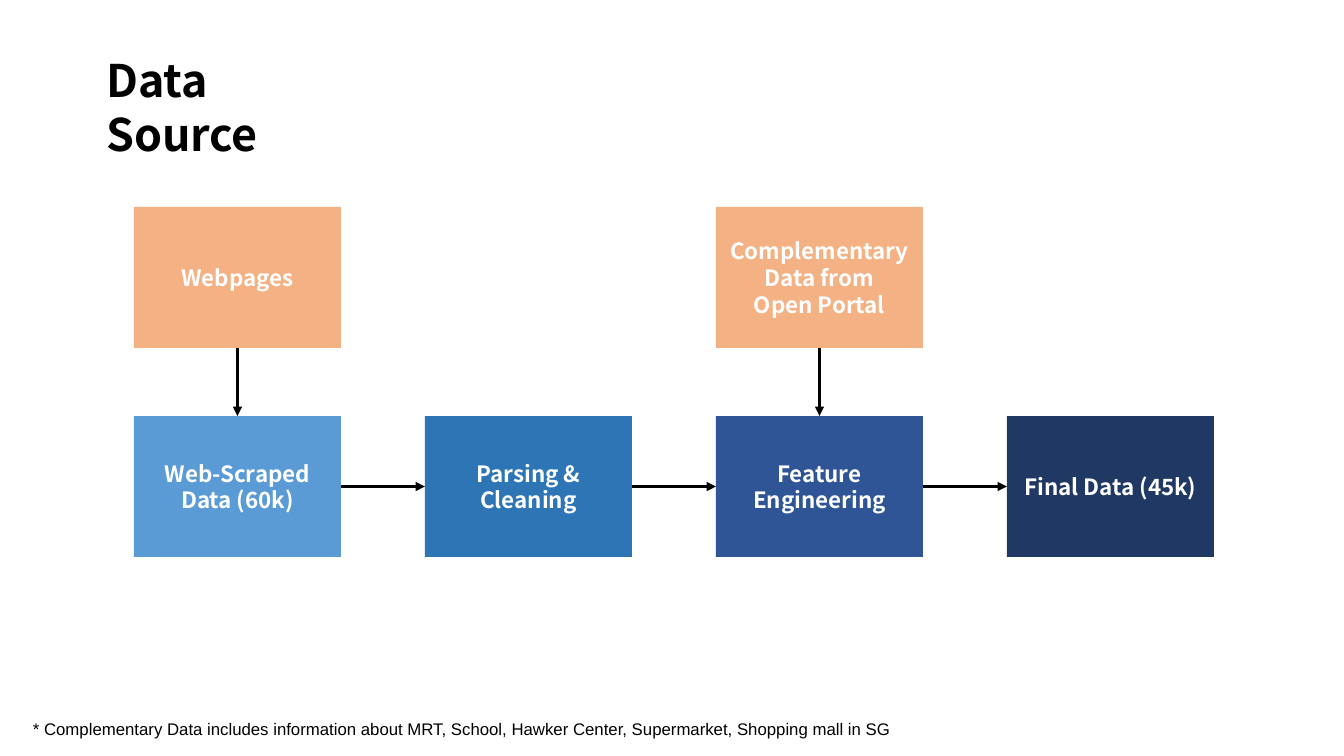
from lxml.etree import SubElement
from pptx import Presentation
from pptx.dml.color import RGBColor
from pptx.enum.shapes import MSO_CONNECTOR, MSO_SHAPE
from pptx.enum.text import MSO_ANCHOR, MSO_AUTO_SIZE, PP_ALIGN
from pptx.oxml.ns import qn
from pptx.util import Pt

EMU_PER_PIXEL = 914400 / 100.8
HEADING_FONT = "Noto Sans CJK SC"
NOTE_FONT = "Arial"
BLACK, WHITE, ORANGE = "000000", "FFFFFF", "F4B183"
BOX_WIDTH, BOX_HEIGHT = 207, 141
FIRST_LEFT, COLUMN_STEP = 134, 291
SOURCE_TOP, STEP_TOP = 207, 416
TOP_SITE, LEFT_SITE, BOTTOM_SITE, RIGHT_SITE = range(4)

STEPS = [
    ("Web-Scraped Data (60k)", "5B9BD5"),
    ("Parsing & Cleaning", "2E75B6"),
    ("Feature Engineering", "2F5597"),
    ("Final Data (45k)", "203864"),
]
SOURCES = {0: "Webpages", 2: "Complementary Data from\nOpen Portal"}


def px(pixels):
    """Turn pixels into EMU."""
    return round(pixels * EMU_PER_PIXEL)


def color(code):
    """Turn a hex string into a colour."""
    return RGBColor.from_string(code)


def write(frame, text, *, size, ink, font=HEADING_FONT, bold=True,
          align=PP_ALIGN.LEFT, anchor=MSO_ANCHOR.TOP):
    """Fill a text frame with one formatted paragraph per line."""
    frame.word_wrap = True
    frame.auto_size = MSO_AUTO_SIZE.NONE
    frame.vertical_anchor = anchor
    frame.text = text
    for para in frame.paragraphs:
        para.alignment = align
        for span in para.runs:
            span.font.name = font
            span.font.size = Pt(size)
            span.font.bold = bold
            span.font.color.rgb = color(ink)


def add_title(page, text, left, top, width, height):
    """Move and format the title placeholder."""
    title = page.shapes.title
    title.left, title.top = px(left), px(top)
    title.width, title.height = px(width), px(height)
    write(title.text_frame, text, size=32, ink=BLACK)


def add_box(page, text, column, top, fill):
    """Add a filled flow box in a column of the grid."""
    left = FIRST_LEFT + column * COLUMN_STEP
    box = page.shapes.add_shape(
        MSO_SHAPE.RECTANGLE, px(left), px(top), px(BOX_WIDTH), px(BOX_HEIGHT))
    box.shadow.inherit = False
    box.fill.solid()
    box.fill.fore_color.rgb = color(fill)
    box.line.fill.background()
    write(box.text_frame, text, size=16, ink=WHITE,
          align=PP_ALIGN.CENTER, anchor=MSO_ANCHOR.MIDDLE)
    return box


def add_arrow(page, start, start_site, end, end_site):
    """Join two boxes with an arrow."""
    arrow = page.shapes.add_connector(MSO_CONNECTOR.STRAIGHT, 0, 0, 0, 0)
    arrow.begin_connect(start, start_site)
    arrow.end_connect(end, end_site)
    arrow.line.width = Pt(2.25)
    arrow.line.color.rgb = color(BLACK)
    SubElement(arrow.line._get_or_add_ln(), qn("a:tailEnd"), type="triangle")
    SubElement(arrow._element.spPr, qn("a:effectLst"))


def add_note(page, text, left, top, width, height):
    """Add the footnote text box."""
    note = page.shapes.add_textbox(px(left), px(top), px(width), px(height))
    write(note.text_frame, text, size=12, ink=BLACK, font=NOTE_FONT, bold=False)


def main():
    """Build the data source slide."""
    deck = Presentation()
    deck.slide_width, deck.slide_height = px(1344), px(756)
    page = deck.slides.add_slide(deck.slide_layouts.get_by_name("Title Only"))
    add_title(page, "Data Source", 96, 48, 200, 118)
    steps = [add_box(page, text, column, STEP_TOP, fill)
             for column, (text, fill) in enumerate(STEPS)]
    for column, text in SOURCES.items():
        source = add_box(page, text, column, SOURCE_TOP, ORANGE)
        add_arrow(page, source, BOTTOM_SITE, steps[column], TOP_SITE)
    for start, end in zip(steps, steps[1:]):
        add_arrow(page, start, RIGHT_SITE, end, LEFT_SITE)
    add_note(page, "* Complementary Data includes information about MRT, School, "
             "Hawker Center, Supermarket, Shopping mall in SG", 23, 714, 1051, 30)
    deck.save("out.pptx")


main()
